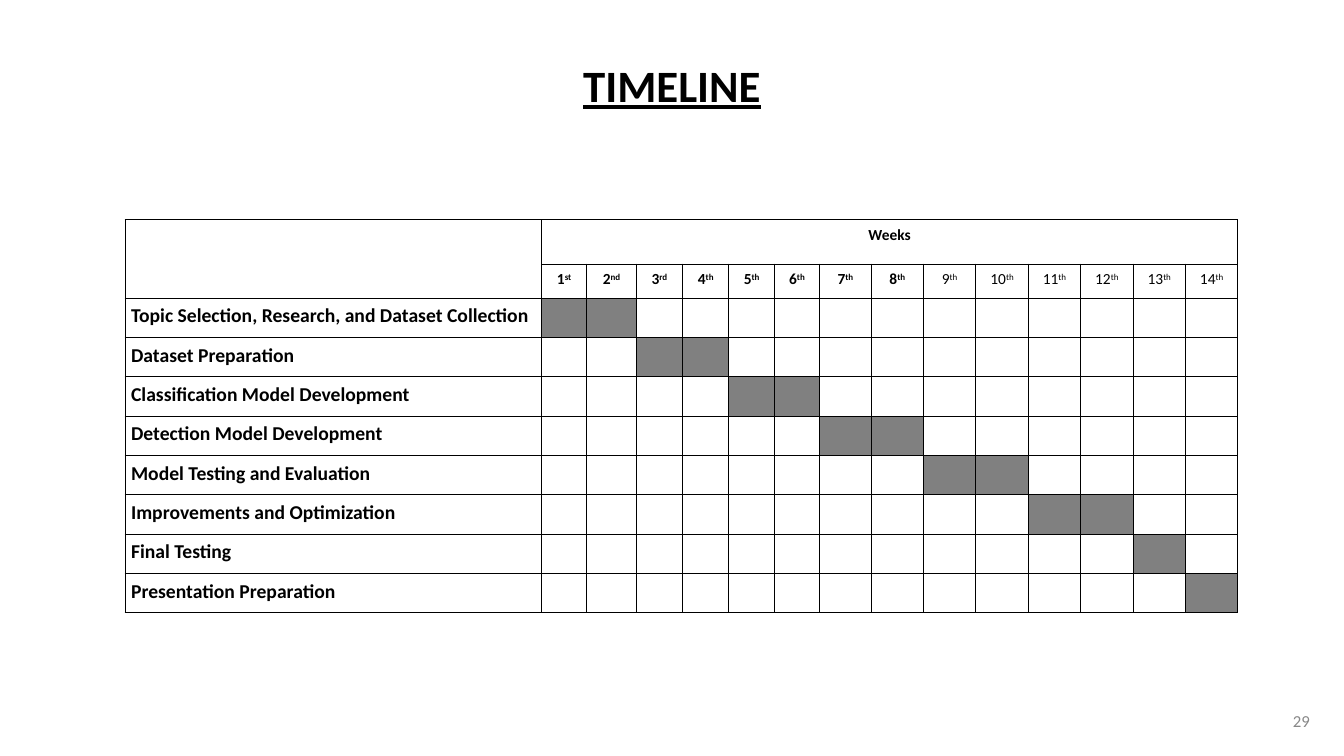
"""Build a project timeline slide with a fourteen-week Gantt table."""
import pptx
import pptx.dml.color
import pptx.enum.text
import pptx.oxml
import pptx.oxml.ns
import pptx.util
from pptx.util import Inches

COLORS = {"ink": "000000", "busy": "808080", "page_number": "888888"}
FONT = "Calibri"
ALIGN = pptx.enum.text.PP_ALIGN
ANCHOR = pptx.enum.text.MSO_ANCHOR
TASKS = [
    ("Topic Selection, Research, and Dataset Collection", (1, 2)),
    ("Dataset Preparation", (3, 4)),
    ("Classification Model Development", (5, 6)),
    ("Detection Model Development", (7, 8)),
    ("Model Testing and Evaluation", (9, 10)),
    ("Improvements and Optimization", (11, 12)),
    ("Final Testing", (13,)),
    ("Presentation Preparation", (14,)),
]
WEEKS = range(1, 15)
LAST_BOLD_WEEK = 8
SUFFIXES = {1: "st", 2: "nd", 3: "rd"}
COLUMN_WIDTHS = [4.13, 0.45, 0.49, 0.46, 0.46, 0.45, 0.45, 0.51] + [0.52] * 7
ROW_HEIGHTS = [0.44, 0.34] + [0.39] * len(TASKS)


def rgb(name):
    return pptx.dml.color.RGBColor.from_string(COLORS[name])


def format_run(run, size, bold=False, color="ink"):
    run.font.name = FONT
    run.font.size = pptx.util.Pt(size)
    run.font.bold = bold
    run.font.color.rgb = rgb(color)


def set_margins(frame, horizontal, vertical):
    frame.margin_left = frame.margin_right = Inches(horizontal)
    frame.margin_top = frame.margin_bottom = Inches(vertical)


def add_title(slide, text):
    title = slide.shapes.title
    title.left, title.top = Inches(3.66), Inches(0.53)
    title.width, title.height = Inches(6.01), Inches(0.69)
    frame = title.text_frame
    frame.text = text
    frame.auto_size = pptx.enum.text.MSO_AUTO_SIZE.SHAPE_TO_FIT_TEXT
    frame.vertical_anchor = ANCHOR.TOP
    set_margins(frame, 0.1, 0.1)
    heading = frame.paragraphs[0]
    heading.alignment = ALIGN.CENTER
    heading.line_spacing = 0.9
    format_run(heading.runs[0], 32, bold=True)
    heading.runs[0].font.underline = True


def add_page_number(slide, number):
    box = slide.shapes.add_textbox(Inches(10.09), Inches(6.95), Inches(3), Inches(0.4))
    frame = box.text_frame
    frame.text = number
    frame.word_wrap = True
    frame.vertical_anchor = ANCHOR.MIDDLE
    set_margins(frame, 0.1, 0.05)
    frame.paragraphs[0].alignment = ALIGN.RIGHT
    format_run(frame.paragraphs[0].runs[0], 12, color="page_number")


def style_cell(cell):
    cell.margin_left = cell.margin_right = Inches(0.06)
    cell.margin_top = cell.margin_bottom = Inches(0.06)
    properties = cell._tc.get_or_add_tcPr()
    for side in ("lnL", "lnR", "lnT", "lnB"):
        properties.append(pptx.oxml.parse_xml(
            f'<a:{side} {pptx.oxml.ns.nsdecls("a")} w="9525"><a:solidFill>'
            f'<a:srgbClr val="{COLORS["ink"]}"/></a:solidFill></a:{side}>'))
    cell.fill.background()
    cell.text_frame.paragraphs[0]._p.append(pptx.oxml.parse_xml(
        f'<a:endParaRPr {pptx.oxml.ns.nsdecls("a")} sz="1100"/>'))


def write_cell(cell, text, size, bold=True, align=ALIGN.LEFT):
    cell.text = text
    paragraph = cell.text_frame.paragraphs[0]
    paragraph.alignment = align
    format_run(paragraph.runs[0], size, bold)
    return paragraph


def write_week(cell, week):
    bold = week <= LAST_BOLD_WEEK
    paragraph = write_cell(cell, str(week), 11, bold, ALIGN.CENTER)
    suffix = paragraph.add_run()
    suffix.text = SUFFIXES.get(week, "th")
    format_run(suffix, 11, bold)
    suffix.font._element.set("baseline", "30000")


def add_timeline(slide):
    timeline = slide.shapes.add_table(
        len(ROW_HEIGHTS), len(COLUMN_WIDTHS), Inches(1.24), Inches(2.18),
        Inches(sum(COLUMN_WIDTHS)), Inches(sum(ROW_HEIGHTS))).table
    timeline.first_row = timeline.horz_banding = False
    for column, width in zip(timeline.columns, COLUMN_WIDTHS):
        column.width = Inches(width)
    for row, height in zip(timeline.rows, ROW_HEIGHTS):
        row.height = Inches(height)
    for cell in timeline.iter_cells():
        style_cell(cell)

    timeline.cell(0, 0).merge(timeline.cell(1, 0))
    timeline.cell(0, 1).merge(timeline.cell(0, len(WEEKS)))
    write_cell(timeline.cell(0, 1), "Weeks", 11, align=ALIGN.CENTER)
    for week in WEEKS:
        write_week(timeline.cell(1, week), week)
    for row, (task, busy_weeks) in enumerate(TASKS, start=2):
        write_cell(timeline.cell(row, 0), task, 14)
        for week in busy_weeks:
            busy = timeline.cell(row, week).fill
            busy.solid()
            busy.fore_color.rgb = rgb("busy")


def main():
    deck = pptx.Presentation()
    deck.slide_width, deck.slide_height = Inches(13.33), Inches(7.5)
    slide = deck.slides.add_slide(deck.slide_layouts[5])
    add_page_number(slide, "29")
    add_title(slide, "TIMELINE")
    add_timeline(slide)
    deck.save("out.pptx")


if __name__ == "__main__":
    main()
